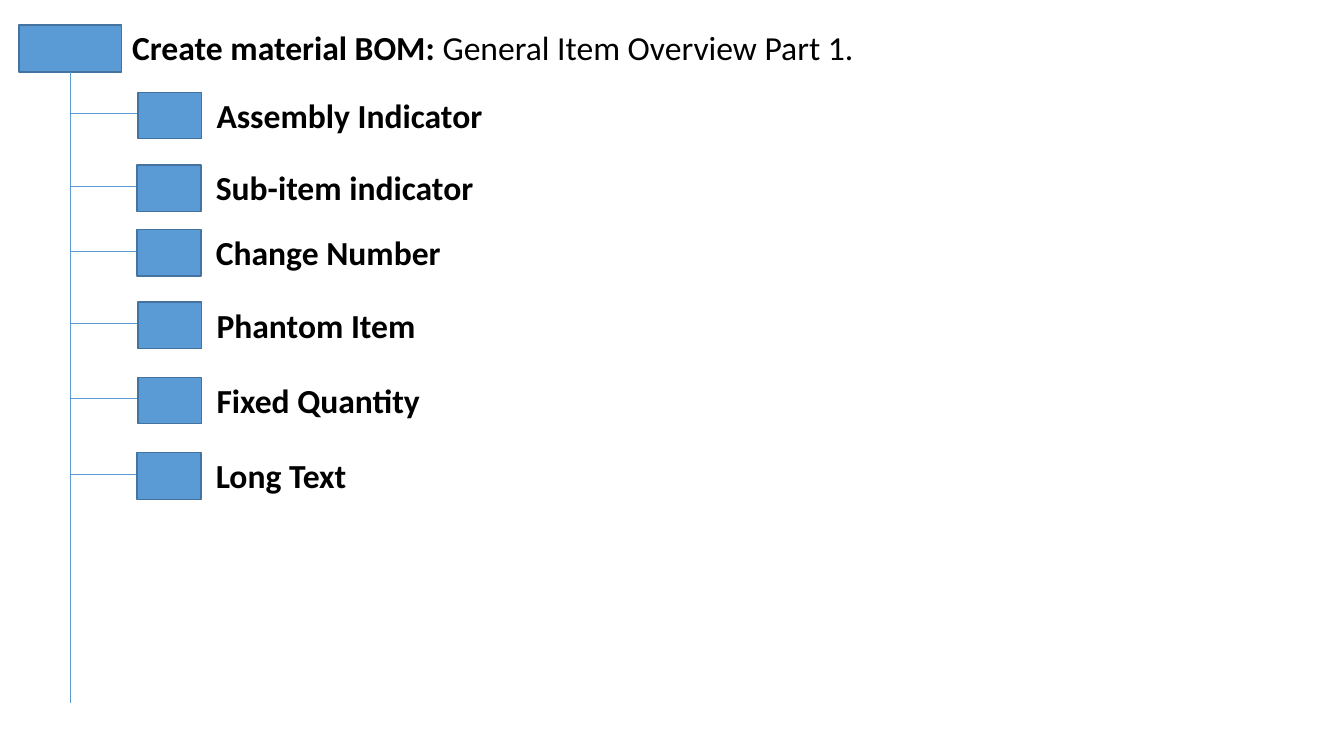
from lxml.etree import SubElement as Sub
from pptx import Presentation as Deck
from pptx.dml.color import RGBColor as Color
from pptx.enum.shapes import MSO_CONNECTOR as Link, MSO_SHAPE as Kind
from pptx.enum.text import MSO_ANCHOR as Anchor, MSO_AUTO_SIZE as Fit, PP_ALIGN as Align
from pptx.oxml.ns import qn
from pptx.util import Pt

BLUE = Color(0x5B, 0x9B, 0xD5)
EDGE = Color(0x43, 0x73, 0x9E)
BLACK = Color(0, 0, 0)
FONT = {"name": "Calibri", "size": Pt(24)}
FRAME = {
    "word_wrap": False,
    "auto_size": Fit.SHAPE_TO_FIT_TEXT,
    "vertical_anchor": Anchor.TOP,
    "margin_left": Pt(7.2),
    "margin_right": Pt(7.2),
    "margin_top": Pt(3.6),
    "margin_bottom": Pt(3.6),
}
PARA = {"alignment": Align.LEFT, "line_spacing": 1.0, "space_before": Pt(0)}


def apply(item, form):
    for key, value in form.items():
        setattr(item, key, value)


class Tree:
    """Draws the parts of an item tree on one slide."""

    def __init__(self, deck):
        self.slide = deck.slides.add_slide(deck.slide_layouts[5])
        self.shapes = self.slide.shapes

    def letter(self, shape, runs):
        frame = shape.text_frame
        apply(frame, FRAME)
        para = frame.paragraphs[0]
        apply(para, PARA)
        for text, bold in runs:
            run = para.add_run()
            run.text = text
            apply(run.font, FONT | {"bold": bold})
            run.font.color.rgb = BLACK

    def title(self, x, y, w, h, runs):
        shape = self.shapes.title
        apply(shape, {"left": Pt(x), "top": Pt(y), "width": Pt(w), "height": Pt(h)})
        self.letter(shape, runs)

    def label(self, x, y, w, h, text):
        box = self.shapes.add_textbox(Pt(x), Pt(y), Pt(w), Pt(h))
        self.letter(box, [(text, True)])

    def block(self, x, y, w, h):
        shape = self.shapes.add_shape(Kind.RECTANGLE, Pt(x), Pt(y), Pt(w), Pt(h))
        shape.shadow.inherit = False
        shape.fill.solid()
        shape.fill.fore_color.rgb = BLUE
        shape.line.color.rgb = EDGE
        shape.line.width = Pt(1)

    def line(self, x, y, to_x, to_y):
        link = self.shapes.add_connector(Link.STRAIGHT, Pt(x), Pt(y), Pt(to_x), Pt(to_y))
        link.line.color.rgb = BLUE
        link.line.width = Pt(0.5)
        Sub(link._element.spPr, qn("a:effectLst"))


def main():
    deck = Deck()
    deck.slide_width, deck.slide_height = Pt(960), Pt(540)
    tree = Tree(deck)
    tree.block(13.5, 18, 73.5, 33.5)
    tree.title(87.2, 15.3, 542, 36.4, [
        ("Create material BOM: ", True),
        ("General Item Overview Part 1.", False),
    ])
    tree.line(50.3, 51.5, 50.3, 502)
    items = [
        ("Assembly Indicator", 50.3, 81.2, 206.6),
        ("Sub-item indicator", 49.8, 133.1, 200.2),
        ("Change Number", 49.8, 179.4, 176.4),
        ("Phantom Item", 50.3, 231.1, 158.4),
        ("Fixed Quantity", 50.3, 284.8, 161.3),
        ("Long Text", 49.8, 338.7, 108.7),
    ]
    for text, x, y, width in items:
        tree.line(x, y, x + 48.2, y)
        tree.label(x + 97.3, y - 17.1, width, 36.4, text)
        tree.block(x + 48.2, y - 15.3, 45.5, 33.2)
    deck.save("out.pptx")


if __name__ == "__main__":
    main()
